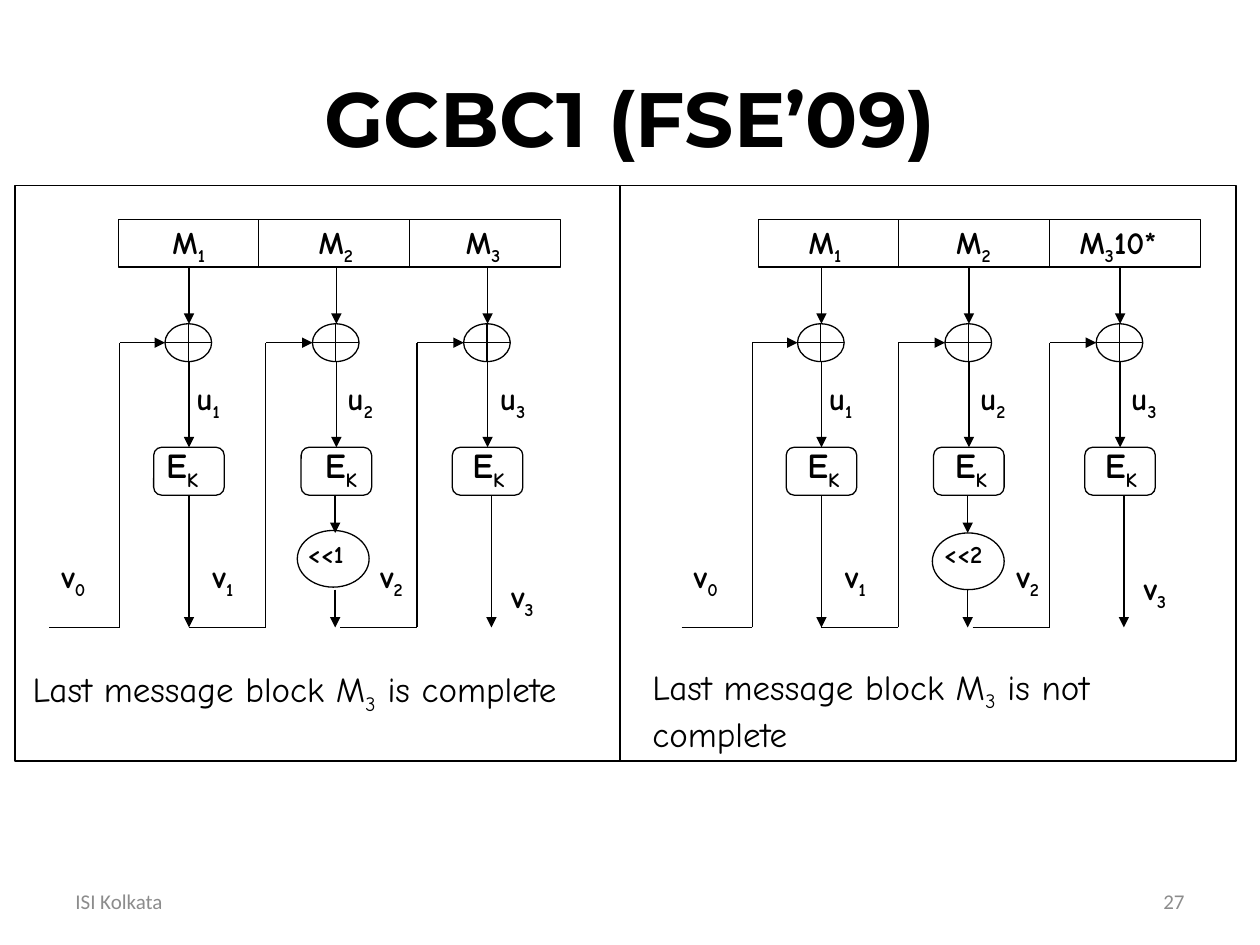
from collections import namedtuple

from lxml.etree import SubElement
from pptx import Presentation
from pptx.dml.color import RGBColor
from pptx.enum.shapes import MSO_CONNECTOR, MSO_SHAPE
from pptx.enum.text import MSO_ANCHOR, MSO_AUTO_SIZE, PP_ALIGN
from pptx.oxml.ns import qn
from pptx.util import Inches, Pt

BLACK = RGBColor(0x00, 0x00, 0x00)
GRAY = RGBColor(0x8C, 0x8C, 0x8C)

ROW_TOP, ROW_BOTTOM = 1.74, 2.12
XOR_TOP, XOR_MIDDLE, XOR_BOTTOM = 2.57, 2.72, 2.87
CIPHER_TOP, CIPHER_BOTTOM = 3.55, 3.93
CIPHER_LABEL_TOP = 3.47
SHIFT_TOP, SHIFT_BOTTOM = 4.23, 4.68
CHAIN_BOTTOM = 4.98

Column = namedtuple("Column", "center feed_start feed_rise output")
COLUMNS = [
    Column(1.5, 0.39, 0.95, 1.5),
    Column(2.67, 1.5, 2.11, 2.66),
    Column(3.87, 2.7, 3.31, 3.9),
]

Chain = namedtuple(
    "Chain", "left row_left blocks shift shift_at shift_label_at last_v_top "
    "block_lefts u_lefts v_lefts cipher_lefts"
)
CHAINS = [
    Chain(0, 0.94, ["M_1", "M_2", "M_3"], "<<1", (2.36, 4.21), (2.34, 0.62), 4.53,
          [1.27, 2.43, 3.6], [1.46, 2.66, 3.87], [1.59, 2.92, 3.96], [1.22, 2.48, 3.65]),
    Chain(5.02, 1, ["M_1", "M_2", "M_310*"], "<<2", (2.38, 4.23), (2.37, 0.56), 4.47,
          [1.3, 2.47, 3.45], [1.46, 2.66, 3.86], [1.59, 2.95, 3.96], [1.29, 2.46, 3.65]),
]


def write_text(box, text, font="Comic Neue", size=18, bold=True, color=BLACK,
               align=PP_ALIGN.LEFT, anchor=MSO_ANCHOR.TOP, wrap=False, grow=True):
    frame = box.text_frame
    frame.word_wrap = wrap
    frame.auto_size = MSO_AUTO_SIZE.SHAPE_TO_FIT_TEXT if grow else MSO_AUTO_SIZE.NONE
    frame.vertical_anchor = anchor
    para = frame.paragraphs[0]
    para.alignment = align
    first, *others = text.split("_")
    pieces = [(first, False)]
    for other in others:
        pieces += [(other[0], True), (other[1:], False)]
    for words, lowered in pieces:
        if not words:
            continue
        span = para.add_run()
        span.text = words
        span.font.name = font
        span.font.size = Pt(size)
        span.font.bold = bold
        span.font.color.rgb = color
        if lowered:
            span.font._element.set("baseline", "-25000")


class Painter:
    def __init__(self, page, color=BLACK, width=0.75):
        self.page = page
        self.color = color
        self.width = Pt(width)
        self.left = 0

    def shape(self, kind, left, top, width, height):
        shape = self.page.shapes.add_shape(
            kind, Inches(self.left + left), Inches(top), Inches(width), Inches(height))
        shape.shadow.inherit = False
        shape.fill.background()
        shape.line.color.rgb = self.color
        shape.line.width = self.width

    def line(self, x1, y1, x2, y2, arrow=False):
        line = self.page.shapes.add_connector(
            MSO_CONNECTOR.STRAIGHT, Inches(self.left + x1), Inches(y1),
            Inches(self.left + x2), Inches(y2))
        line.line.color.rgb = self.color
        line.line.width = self.width
        if arrow:
            SubElement(line.line._get_or_add_ln(), qn("a:tailEnd"), type="triangle")
        SubElement(line._element.spPr, qn("a:effectLst"))

    def text(self, text, left, top, width, height, **style):
        box = self.page.shapes.add_textbox(
            Inches(self.left + left), Inches(top), Inches(width), Inches(height))
        write_text(box, text, **style)


def draw_chain(painter, chain):
    painter.left = chain.left
    last = len(COLUMNS) - 1
    for index, column in enumerate(COLUMNS):
        number = index + 1
        center, rise = column.center, column.feed_rise
        painter.shape(MSO_SHAPE.ROUNDED_RECTANGLE, center - 0.28, CIPHER_TOP, 0.56, 0.38)
        painter.shape(MSO_SHAPE.FLOWCHART_OR, center - 0.19, XOR_TOP, 0.37, 0.3)
        painter.line(column.feed_start, CHAIN_BOTTOM, rise, CHAIN_BOTTOM)
        painter.line(rise, CHAIN_BOTTOM, rise, XOR_MIDDLE)
        painter.line(rise, XOR_MIDDLE, center - 0.19, XOR_MIDDLE, arrow=True)
        painter.line(center, ROW_BOTTOM, center, XOR_TOP, arrow=True)
        painter.line(center, XOR_BOTTOM, center, CIPHER_TOP, arrow=True)
        if index == 1:
            painter.line(column.output, CIPHER_BOTTOM, column.output, SHIFT_TOP, arrow=True)
            painter.line(column.output, SHIFT_BOTTOM, column.output, CHAIN_BOTTOM, arrow=True)
        else:
            painter.line(column.output, CIPHER_BOTTOM, column.output, CHAIN_BOTTOM, arrow=True)

        block = chain.blocks[index]
        block_width = 0.53 if len(block) == 3 else 0.97
        v_top = chain.last_v_top if index == last else 4.37
        painter.text(block, chain.block_lefts[index], 1.72, block_width, 0.4)
        painter.text(f"u_{number}", chain.u_lefts[index], 2.96, 0.44, 0.4)
        painter.text(f"v_{number}", chain.v_lefts[index], v_top, 0.43, 0.4)
        painter.text("E_K", chain.cipher_lefts[index], CIPHER_LABEL_TOP, 0.49, 0.44, size=20)

    painter.text("v_0", 0.39, 4.37, 0.43, 0.4)
    painter.shape(MSO_SHAPE.OVAL, *chain.shift_at, 0.57, 0.45)
    label_left, label_width = chain.shift_label_at
    painter.text(chain.shift, label_left, SHIFT_TOP, label_width, 0.34, size=14)
    painter.shape(MSO_SHAPE.RECTANGLE, chain.row_left, ROW_TOP, 3.51, ROW_BOTTOM - ROW_TOP)
    for offset in (1.11, 2.31):
        divider = chain.row_left + offset
        painter.line(divider, ROW_TOP, divider, ROW_BOTTOM)
    painter.left = 0


def main():
    deck = Presentation()
    deck.slide_width, deck.slide_height = Inches(10), Inches(7.5)
    painter = Painter(deck.slides.add_slide(deck.slide_layouts[6]))

    painter.text("GCBC1 (FSE’09)", 0.5, 0.3, 9, 1.25, font="Montserrat", size=44,
                 align=PP_ALIGN.CENTER, anchor=MSO_ANCHOR.MIDDLE, wrap=True, grow=False)
    for chain in CHAINS:
        draw_chain(painter, chain)
    painter.text("Last message block M_3 is complete", 0.16, 5.25, 4.72, 0.44,
                 size=20, bold=False)
    painter.text("Last message block M_3 is not complete", 5.08, 5.23, 4.53, 0.77,
                 size=20, bold=False, wrap=True)
    painter.shape(MSO_SHAPE.RECTANGLE, 0.12, 1.47, 9.69, 4.57)
    painter.line(4.92, 1.47, 4.92, 6.03)

    footer = dict(font="Calibri", size=12, bold=False, color=GRAY,
                  anchor=MSO_ANCHOR.MIDDLE, wrap=True, grow=False)
    painter.text("ISI Kolkata", 0.5, 6.95, 2.33, 0.4, **footer)
    painter.text("27", 7.17, 6.95, 2.33, 0.4, align=PP_ALIGN.RIGHT, **footer)
    deck.save("out.pptx")


if __name__ == "__main__":
    main()
